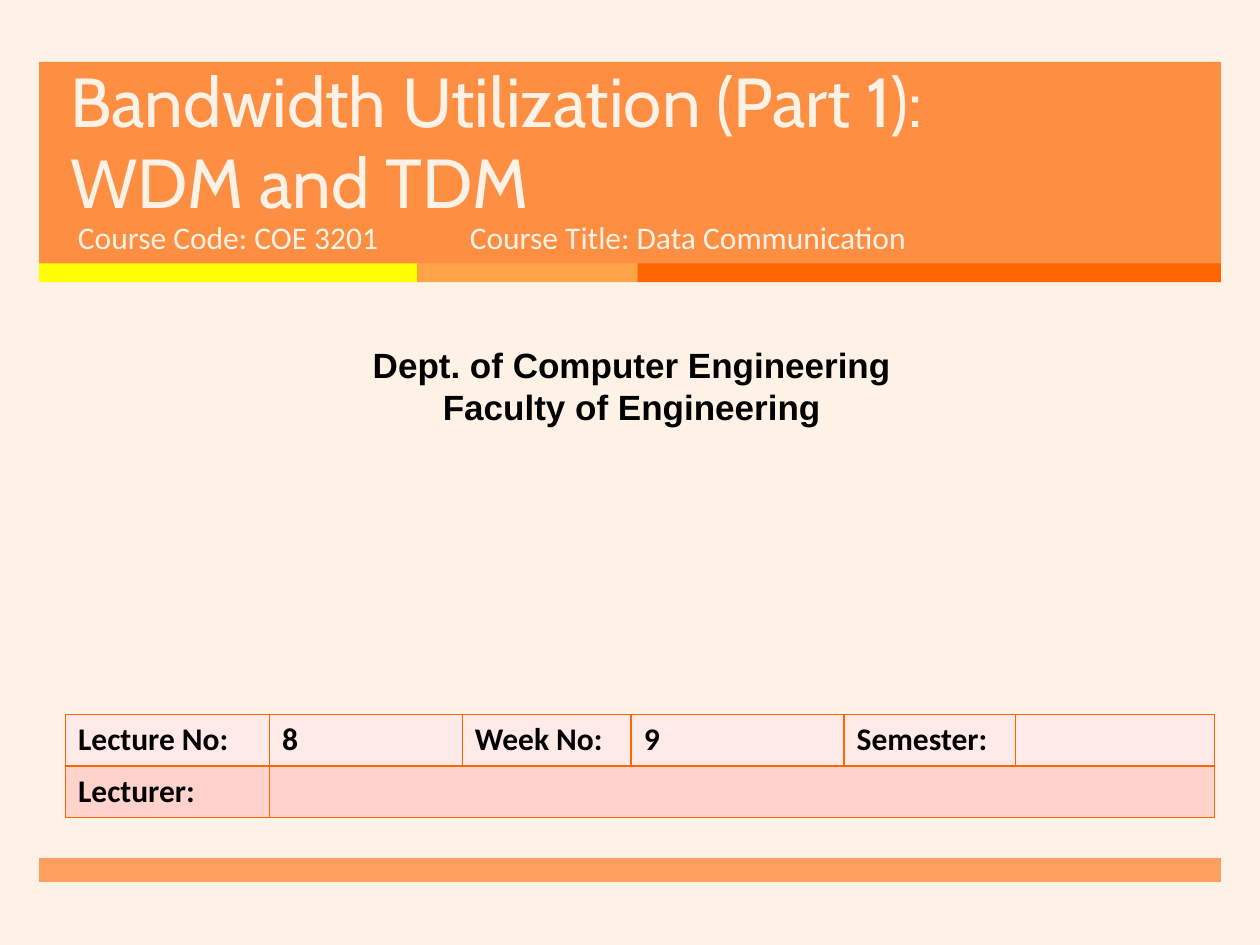
"""Build the cover slide of a data communication lecture."""
from lxml import etree
from pptx import Presentation
from pptx.dml.color import RGBColor
from pptx.enum.shapes import MSO_SHAPE
from pptx.enum.text import MSO_ANCHOR, PP_ALIGN
from pptx.oxml.ns import qn
from pptx.util import Inches, Pt

RECTANGLE = MSO_SHAPE.RECTANGLE
TOP, BOTTOM = MSO_ANCHOR.TOP, MSO_ANCHOR.BOTTOM
LEFT, CENTER = PP_ALIGN.LEFT, PP_ALIGN.CENTER

COLORS = {
    "cream": "FEF2E6", "band": "FF7D26", "yellow": "FFFF00", "amber": "FFA347",
    "orange": "FF6600", "black": "000000", "pale": "FFEAE7", "rose": "FFD3CC",
}
FORMATS = {
    "title": {"size": Pt(39.6), "name": "Cabin", "color": "cream"},
    "course": {"size": Pt(18), "name": "Calibri", "color": "cream"},
    "department": {"size": Pt(20), "name": "Arial", "bold": True, "color": "black"},
    "lecture": {"size": Pt(18), "name": "Calibri", "bold": True, "color": "black"},
}
TEXTS = [
    (["Bandwidth Utilization (Part 1): WDM and TDM"], "title",
     (0.46, 0.62, 7.72, 1.19), BOTTOM, LEFT, Pt(46)),
    (["Course Code: COE 3201"], "course", (0.52, 1.68, 3.05, 0.53), TOP, LEFT, None),
    (["Dept. of Computer Engineering", "Faculty of Engineering"], "department",
     (0.08, 2.68, 9.87, 0.77), TOP, CENTER, None),
    (["Course Title: Data Communication"], "course",
     (3.63, 1.68, 4.55, 0.53), TOP, LEFT, None),
]
MARGIN, BAND_WIDTH = 0.31, 9.38
BANDS = [(0.49, 1.61, 85), (6.81, 0.19, 70)]
STRIPE_TOP, STRIPE_HEIGHT = 2.09, 0.15
STRIPES = [("yellow", 3), ("amber", 1.75), ("orange", 4.63)]

LECTURE_ROWS = [
    ("pale", ["Lecture No:", "8", "Week No:", "9", "Semester:", ""]),
    ("rose", ["Lecturer:", "", "", "", "", ""]),
]
COLUMN_WIDTHS = [1.62, 1.53, 1.34, 1.69, 1.36, 1.58]
TABLE_LEFT, TABLE_TOP, ROW_HEIGHT = 0.52, 5.67, 0.41
BORDER_SIDES = ("a:lnL", "a:lnR", "a:lnT", "a:lnB")


def rgb(color):
    return RGBColor.from_string(COLORS[color])


def add_bar(slide, box, color, opacity=100):
    bar = slide.shapes.add_shape(RECTANGLE, *map(Inches, box))
    bar.shadow.inherit = False
    bar.line.fill.background()
    bar.fill.solid()
    bar.fill.fore_color.rgb = rgb(color)
    if opacity < 100:
        tint = bar.fill._xPr.find(qn("a:solidFill"))[0]
        etree.SubElement(tint, qn("a:alpha"), val=str(opacity * 1000))


def write(paragraph, text, style):
    run = paragraph.add_run()
    run.text = text
    for attribute, value in FORMATS[style].items():
        if attribute == "color":
            run.font.color.rgb = rgb(value)
        else:
            setattr(run.font, attribute, value)


def add_text(slide, lines, style, box, anchor, alignment, spacing):
    frame = slide.shapes.add_textbox(*map(Inches, box)).text_frame
    frame.word_wrap = True
    frame.vertical_anchor = anchor
    for index, line in enumerate(lines):
        paragraph = frame.add_paragraph() if index else frame.paragraphs[0]
        paragraph.alignment = alignment
        paragraph.line_spacing = spacing
        write(paragraph, line, style)


def outline(cell):
    properties = cell._tc.get_or_add_tcPr()
    for position, side in enumerate(BORDER_SIDES):
        border = etree.Element(qn(side), w=str(Pt(1)))
        fill = etree.SubElement(border, qn("a:solidFill"))
        etree.SubElement(fill, qn("a:srgbClr"), val=COLORS["orange"])
        properties.insert(position, border)


def add_lecture_table(slide):
    size = (sum(COLUMN_WIDTHS), ROW_HEIGHT * len(LECTURE_ROWS))
    table = slide.shapes.add_table(
        len(LECTURE_ROWS), len(COLUMN_WIDTHS),
        *map(Inches, (TABLE_LEFT, TABLE_TOP, *size))).table
    for column, width in zip(table.columns, COLUMN_WIDTHS):
        column.width = Inches(width)
    for row, (color, texts) in enumerate(LECTURE_ROWS):
        table.rows[row].height = Inches(ROW_HEIGHT)
        for column, text in enumerate(texts):
            cell = table.cell(row, column)
            cell.fill.solid()
            cell.fill.fore_color.rgb = rgb(color)
            outline(cell)
            if text:
                write(cell.text_frame.paragraphs[0], text, "lecture")
    table.cell(1, 1).merge(table.cell(1, len(COLUMN_WIDTHS) - 1))


def main():
    deck = Presentation()
    deck.slide_width, deck.slide_height = Inches(10), Inches(7.5)
    slide = deck.slides.add_slide(deck.slide_layouts[6])
    slide.background.fill.solid()
    slide.background.fill.fore_color.rgb = rgb("cream")
    for top, height, opacity in BANDS:
        add_bar(slide, (MARGIN, top, BAND_WIDTH, height), "band", opacity)
    left = MARGIN
    for color, width in STRIPES:
        add_bar(slide, (left, STRIPE_TOP, width, STRIPE_HEIGHT), color)
        left += width
    for text in TEXTS:
        add_text(slide, *text)
    add_lecture_table(slide)
    deck.save("out.pptx")


if __name__ == "__main__":
    main()
